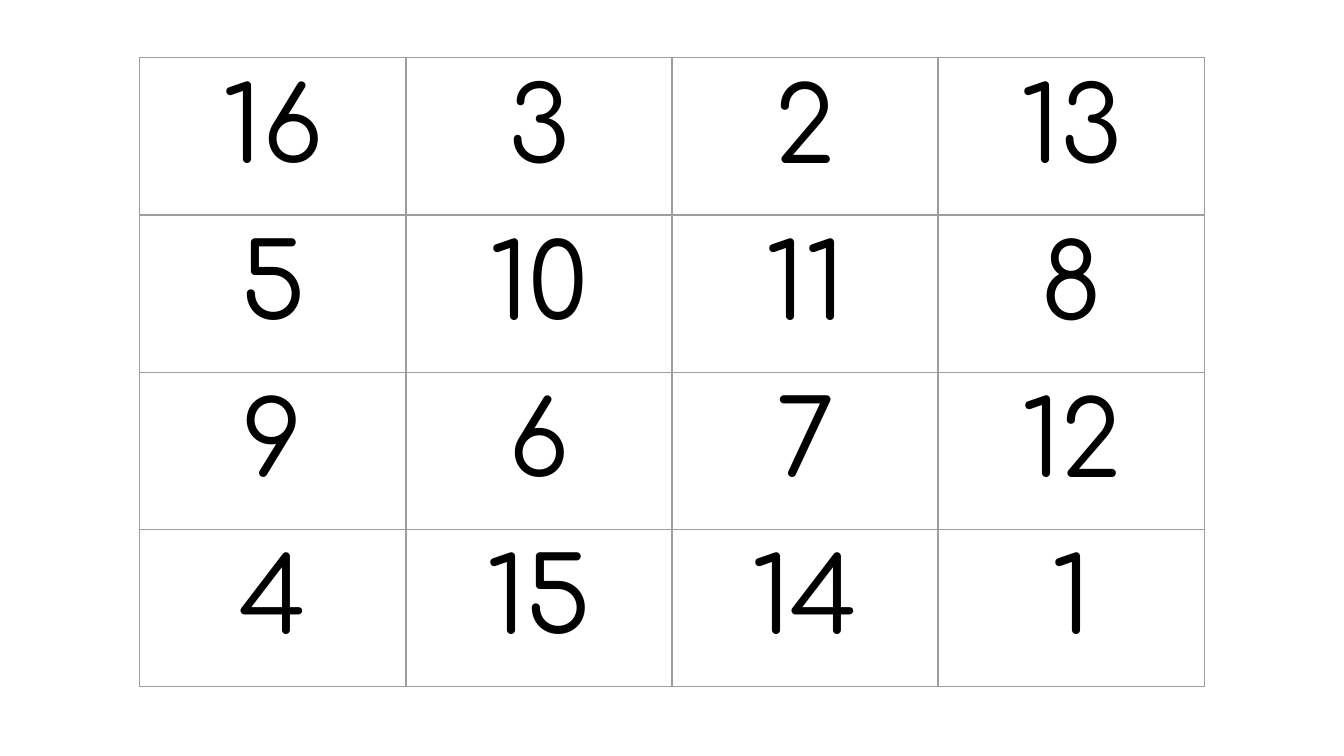
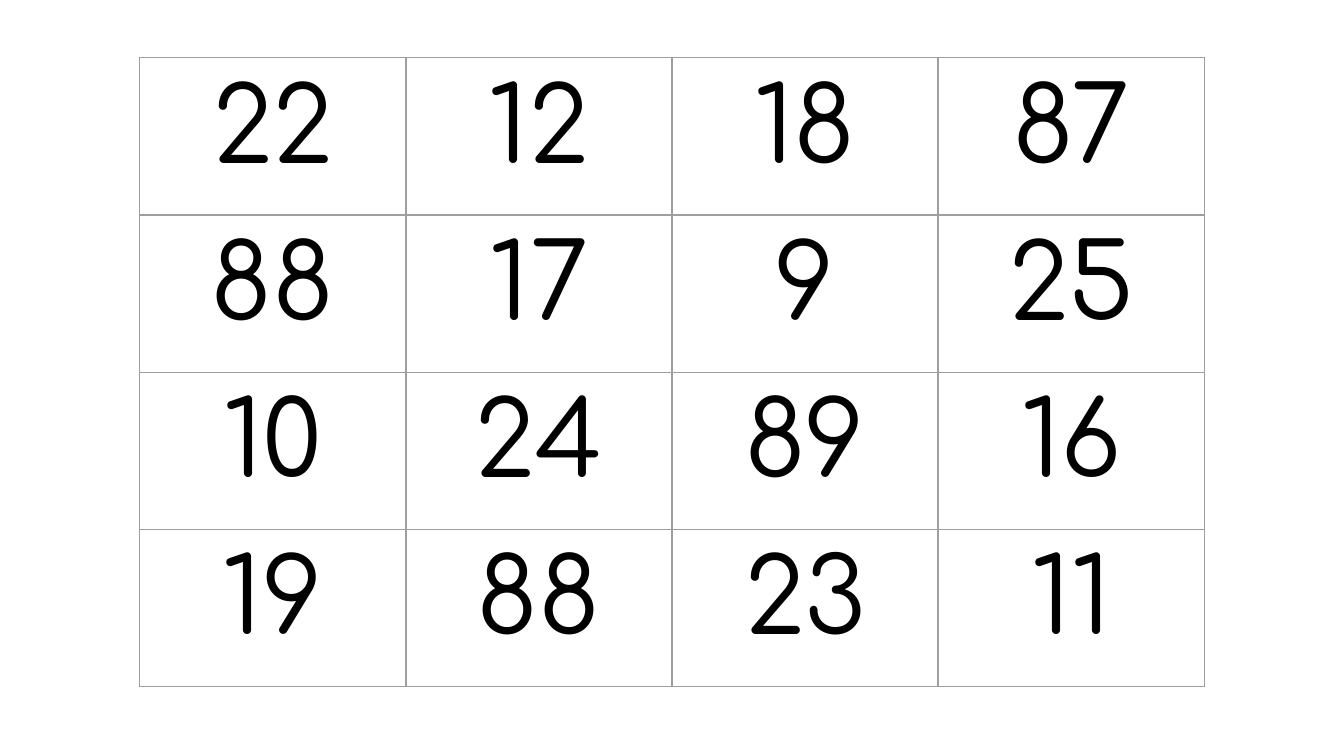
"""Build two slides, each showing a four-by-four magic square."""
from lxml import etree
from pptx import Presentation
from pptx import util as u
from pptx.dml.color import RGBColor
from pptx.enum import text
from pptx.oxml.ns import qn

SQUARES = [
    [
        [16, 3, 2, 13],
        [5, 10, 11, 8],
        [9, 6, 7, 12],
        [4, 15, 14, 1],
    ],
    [
        [22, 12, 18, 87],
        [88, 17, 9, 25],
        [10, 24, 89, 16],
        [19, 88, 23, 11],
    ],
]

BLACK = RGBColor(0x00, 0x00, 0x00)
WHITE = RGBColor(0xFF, 0xFF, 0xFF)
GREY = RGBColor(0x9E, 0x9E, 0x9E)
FONT = "Comfortaa"
SLIDE_WIDTH = u.Inches(10)
SLIDE_HEIGHT = SLIDE_WIDTH * 9 // 16
LEFT, TOP = u.Inches(1.04), u.Inches(0.43)
COLUMN_WIDTH, ROW_HEIGHT = u.Inches(1.98), u.Inches(1.17)
INSET = u.Inches(0.1)
BORDER_WIDTH = u.Pt(0.75)
BLANK_LAYOUT = 6


def write(frame, content, size=56, color=BLACK, align=text.PP_ALIGN.CENTER):
    paragraph = frame.paragraphs[0]
    paragraph.alignment = align
    run = paragraph.add_run()
    run.text = content
    run.font.name = FONT
    run.font.size = u.Pt(size)
    run.font.color.rgb = color


def outline(cell):
    properties = cell._tc.get_or_add_tcPr()
    for side in ("a:lnL", "a:lnR", "a:lnT", "a:lnB"):
        border = etree.SubElement(properties, qn(side), w=str(BORDER_WIDTH))
        solid = etree.SubElement(border, qn("a:solidFill"))
        etree.SubElement(solid, qn("a:srgbClr"), val=str(GREY))


def add_square(slide, numbers):
    rows, columns = len(numbers), len(numbers[0])
    square = slide.shapes.add_table(
        rows, columns, LEFT, TOP, COLUMN_WIDTH * columns, ROW_HEIGHT * rows
    ).table
    square.first_row = square.horz_banding = False
    for r, row in enumerate(numbers):
        for c, number in enumerate(row):
            cell = square.cell(r, c)
            cell.margin_left = cell.margin_right = INSET
            cell.margin_top = cell.margin_bottom = INSET
            outline(cell)
            cell.fill.background()
            write(cell.text_frame, str(number))


def main():
    deck = Presentation()
    deck.slide_width, deck.slide_height = SLIDE_WIDTH, SLIDE_HEIGHT
    background = deck.slide_master.background.fill
    background.solid()
    background.fore_color.rgb = WHITE
    for numbers in SQUARES:
        add_square(deck.slides.add_slide(deck.slide_layouts[BLANK_LAYOUT]), numbers)
    deck.save("out.pptx")


if __name__ == "__main__":
    main()
